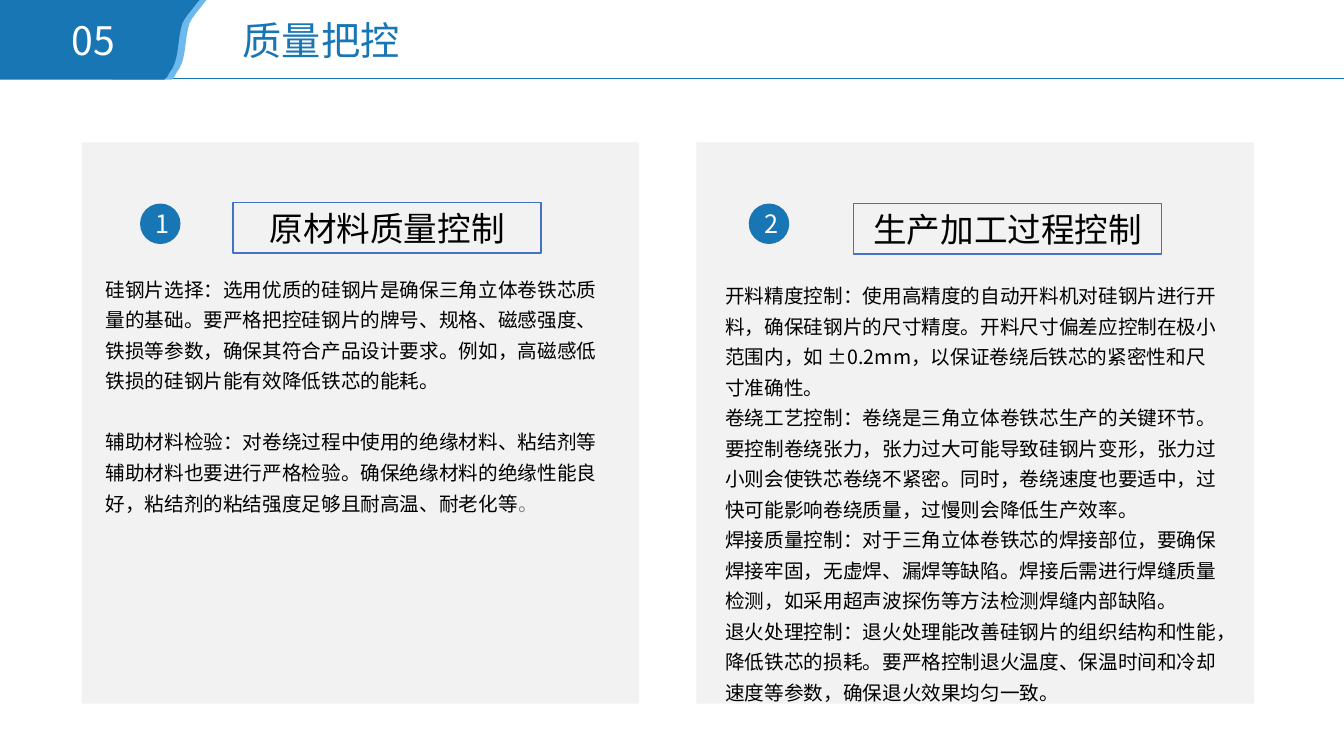
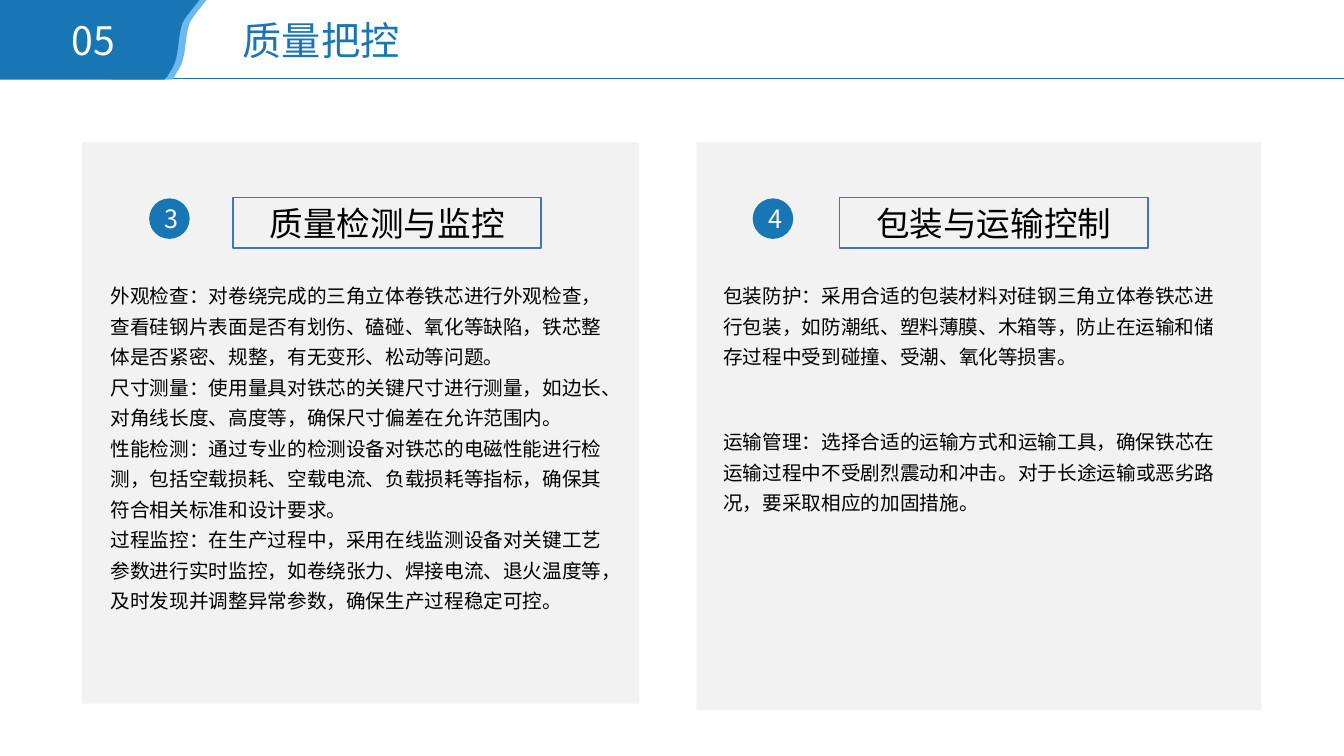
"""Build two quality control slides with numbered cards."""
from lxml.etree import SubElement
from pptx import Presentation
from pptx.dml.color import RGBColor
from pptx.enum.shapes import MSO_CONNECTOR as Conn, MSO_SHAPE as Shape
from pptx.enum.text import MSO_ANCHOR as Anchor, PP_ALIGN as Align
from pptx.oxml.ns import qn
from pptx.util import Cm, Pt

TITLE = "质量把控"
PART = "05"
FONT = "Noto Sans CJK SC"
HUES = {
    "blue": "1876B5", "sky": "6EB9EC", "panel": "F2F2F2", "frame": "4472C4",
    "text": "000000", "gray": "808080", "white": "FFFFFF",
}
WIDE, HIGH = 33.87, 19.05
LEFT, RIGHT, TOP = 2.06, 17.55, 3.59
DOT, HEAD = 1.02, (7.77, 1.27)
BAND = 2.01
BASE = 2.82
EDGE = [(5.03, 0), (5.0, 0.03)]
CURVES = [
    [(4.85, 0.23), (4.67, 0.43), (4.6, 0.58)],
    [(4.47, 0.97), (4.52, 1.42), (4.34, 1.73)],
    [(4.29, 1.8), (4.24, 1.88), (4.22, 1.93)],
]

DECK = [
    [
        {
            "num": "1", "head": "原材料质量控制", "panel": (LEFT, 14.05, 14.14),
            "dot": (3.53, 5.13), "box": (5.87, 5.11), "body": (2.41, 6.7, 13.11), "gap": 21.8,
            "text": [
                ["硅钢片选择：选用优质的硅钢片是确保三角立体卷铁芯质量的基础。要严格把控硅钢片的牌号、规格、磁感强度、铁损等参数，确保其符合产品设计要求。例如，高磁感低铁损的硅钢片能有效降低铁芯的能耗。"],
                ["辅助材料检验：对卷绕过程中使用的绝缘材料、粘结剂等辅助材料也要进行严格检验。确保绝缘材料的绝缘性能良好，粘结剂的粘结强度足够且耐高温、耐老化等", "。"],
            ],
        },
        {
            "num": "2", "head": "生产加工过程控制", "panel": (RIGHT, 14.05, 14.14),
            "dot": (18.87, 5.13), "box": (21.51, 5.13), "body": (18.03, 6.86, 13.11), "gap": 0,
            "text": [
                ["开料精度控制：使用高精度的自动开料机对硅钢片进行开料，确保硅钢片的尺寸精度。开料尺寸偏差应控制在极小范围内，如 ±0.2mm，以保证卷绕后铁芯的紧密性和尺寸准确性。"],
                ["卷绕工艺控制：卷绕是三角立体卷铁芯生产的关键环节。要控制卷绕张力，张力过大可能导致硅钢片变形，张力过小则会使铁芯卷绕不紧密。同时，卷绕速度也要适中，过快可能影响卷绕质量，过慢则会降低生产效率。"],
                ["焊接质量控制：对于三角立体卷铁芯的焊接部位，要确保焊接牢固，无虚焊、漏焊等缺陷。焊接后需进行焊缝质量检测，如采用超声波探伤等方法检测焊缝内部缺陷。"],
                ["退火处理控制：退火处理能改善硅钢片的组织结构和性能，降低铁芯的损耗。要严格控制退火温度、保温时间和冷却速度等参数，确保退火效果均匀一致。"],
            ],
        },
    ],
    [
        {
            "num": "3", "head": "质量检测与监控", "panel": (LEFT, 14.05, 14.14),
            "dot": (3.76, 5), "box": (5.87, 4.98), "body": (2.54, 6.86, 13.26), "gap": 0,
            "text": [
                ["外观检查：对卷绕完成的三角立体卷铁芯进行外观检查，查看硅钢片表面是否有划伤、磕碰、氧化等缺陷，铁芯整体是否紧密、规整，有无变形、松动等问题。"],
                ["尺寸测量：使用量具对铁芯的关键尺寸进行测量，如边长、对角线长度、高度等，确保尺寸偏差在允许范围内。"],
                ["性能检测：通过专业的检测设备对铁芯的电磁性能进行检测，包括空载损耗、空载电流、负载损耗等指标，确保其符合相关标准和设计要求。"],
                ["过程监控：在生产过程中，采用在线监测设备对关键工艺参数进行实时监控，如卷绕张力、焊接电流、退火温度等，及时发现并调整异常参数，确保生产过程稳定可控。"],
            ],
        },
        {
            "num": "4", "head": "包装与运输控制", "panel": (RIGHT, 14.24, 14.31),
            "dot": (18.97, 5), "box": (21.16, 4.98), "body": (17.98, 6.86, 13.11), "gap": 39,
            "text": [
                ["包装防护：采用合适的包装材料对硅钢三角立体卷铁芯进行包装，如防潮纸、塑料薄膜、木箱等，防止在运输和储存过程中受到碰撞、受潮、氧化等损害。"],
                ["运输管理：选择合适的运输方式和运输工具，确保铁芯在运输过程中不受剧烈震动和冲击。对于长途运输或恶劣路况，要采取相应的加固措施。"],
            ],
        },
    ],
]


def rgb(hue):
    return RGBColor.from_string(HUES[hue])


def paint(shape, fill=None, line=None):
    shape.shadow.inherit = False
    if fill:
        shape.fill.solid()
        shape.fill.fore_color.rgb = rgb(fill)
    else:
        shape.fill.background()
    if line:
        shape.line.color.rgb = rgb(line)
        shape.line.width = Pt(1)
    else:
        shape.line.fill.background()


def style(run, size, hue):
    font = run.font
    font.size, font.name, font.color.rgb = Pt(size), FONT, rgb(hue)
    SubElement(run.font._element, qn("a:ea")).set("typeface", FONT)


def write(shape, text, size, hue, align=Align.CENTER, anchor=Anchor.TOP):
    frame = shape.text_frame
    frame.word_wrap, frame.vertical_anchor = True, anchor
    frame.text = text
    para = frame.paragraphs[0]
    para.alignment, para.line_spacing = align, Pt(size * 1.2)
    style(para.runs[0], size, hue)


def add_box(slide, kind, x, y, w, h, fill=None, line=None):
    shape = slide.shapes.add_shape(kind, Cm(x), Cm(y), Cm(w), Cm(h))
    paint(shape, fill, line)
    return shape


def add_text(slide, x, y, w, h):
    return slide.shapes.add_textbox(Cm(x), Cm(y), Cm(w), Cm(h))


def trace(steps=8):
    pts = list(EDGE)
    for one, two, end in CURVES:
        start = pts[-1]
        for i in range(1, steps + 1):
            t = i / steps
            u = 1 - t
            pts.append(tuple(
                u ** 3 * a + 3 * u * u * t * b + 3 * u * t * t * c + t ** 3 * d
                for a, b, c, d in zip(start, one, two, end)))
    return pts + [(4.14, BAND)]


def add_wave(slide, base, shift, hue):
    pts = [(Cm(x + shift), Cm(y)) for x, y in trace()]
    form = slide.shapes.build_freeform(Cm(base), 0)
    form.add_line_segments(pts + [(Cm(base), Cm(BAND))], close=True)
    paint(form.convert_to_shape(), hue)


def add_top(slide):
    rule = slide.shapes.add_connector(Conn.STRAIGHT, Cm(3.43), Cm(1.98), Cm(WIDE), Cm(1.98))
    rule.line.color.rgb = rgb("blue")
    rule.line.width = Pt(0.5)
    SubElement(rule._element.spPr, qn("a:effectLst"))
    add_wave(slide, BASE, 0.18, "sky")
    add_wave(slide, 0, 0, "blue")
    write(add_text(slide, 5.87, 0.28, 8.61, 1.45), TITLE, 28, "blue", Align.LEFT)
    write(add_text(slide, 1.37, 0.28, 1.98, 1.45), PART, 28, "white")


def add_body(slide, card):
    x, y, w = card["body"]
    frame = add_text(slide, x, y, w, 10.87).text_frame
    frame.word_wrap = True
    for i, parts in enumerate(card["text"]):
        para = frame.add_paragraph() if i else frame.paragraphs[0]
        para.line_spacing = Pt(21.8)
        if i:
            para.space_before = Pt(card["gap"])
        for part, hue in zip(parts, ("text", "gray")):
            run = para.add_run()
            run.text = part
            style(run, 14, hue)


def add_card(slide, card):
    x, w, h = card["panel"]
    add_box(slide, Shape.RECTANGLE, x, TOP, w, h, "panel")
    add_body(slide, card)
    head = add_box(slide, Shape.RECTANGLE, *card["box"], *HEAD, line="frame")
    write(head, card["head"], 24, "text")
    dot = add_box(slide, Shape.OVAL, *card["dot"], DOT, DOT, "blue")
    write(dot, card["num"], 18, "white", anchor=Anchor.MIDDLE)


def main():
    deck = Presentation()
    deck.slide_width, deck.slide_height = Cm(WIDE), Cm(HIGH)
    for cards in DECK:
        slide = deck.slides.add_slide(deck.slide_layouts[6])
        add_top(slide)
        for card in cards:
            add_card(slide, card)
    deck.save("out.pptx")


if __name__ == "__main__":
    main()
